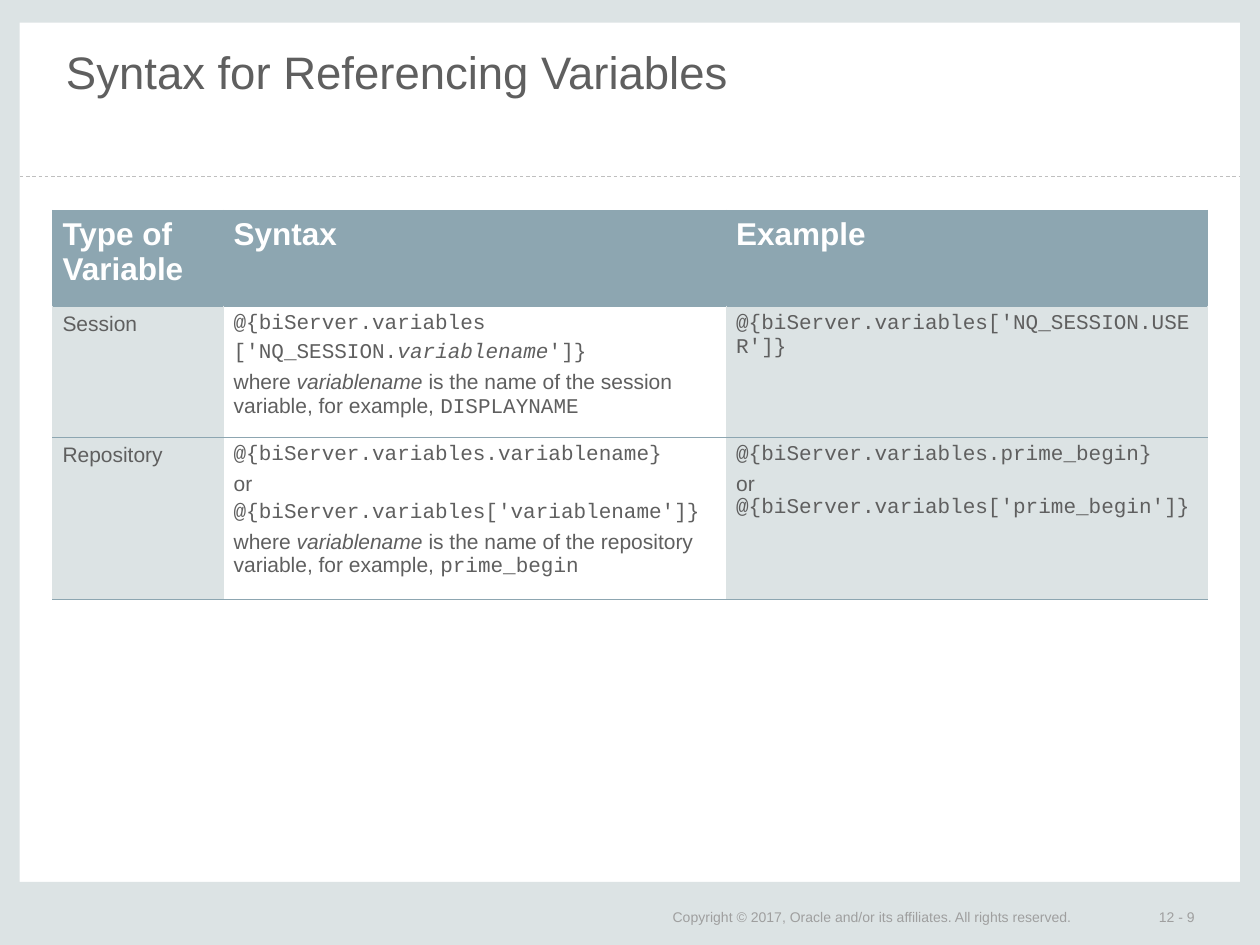
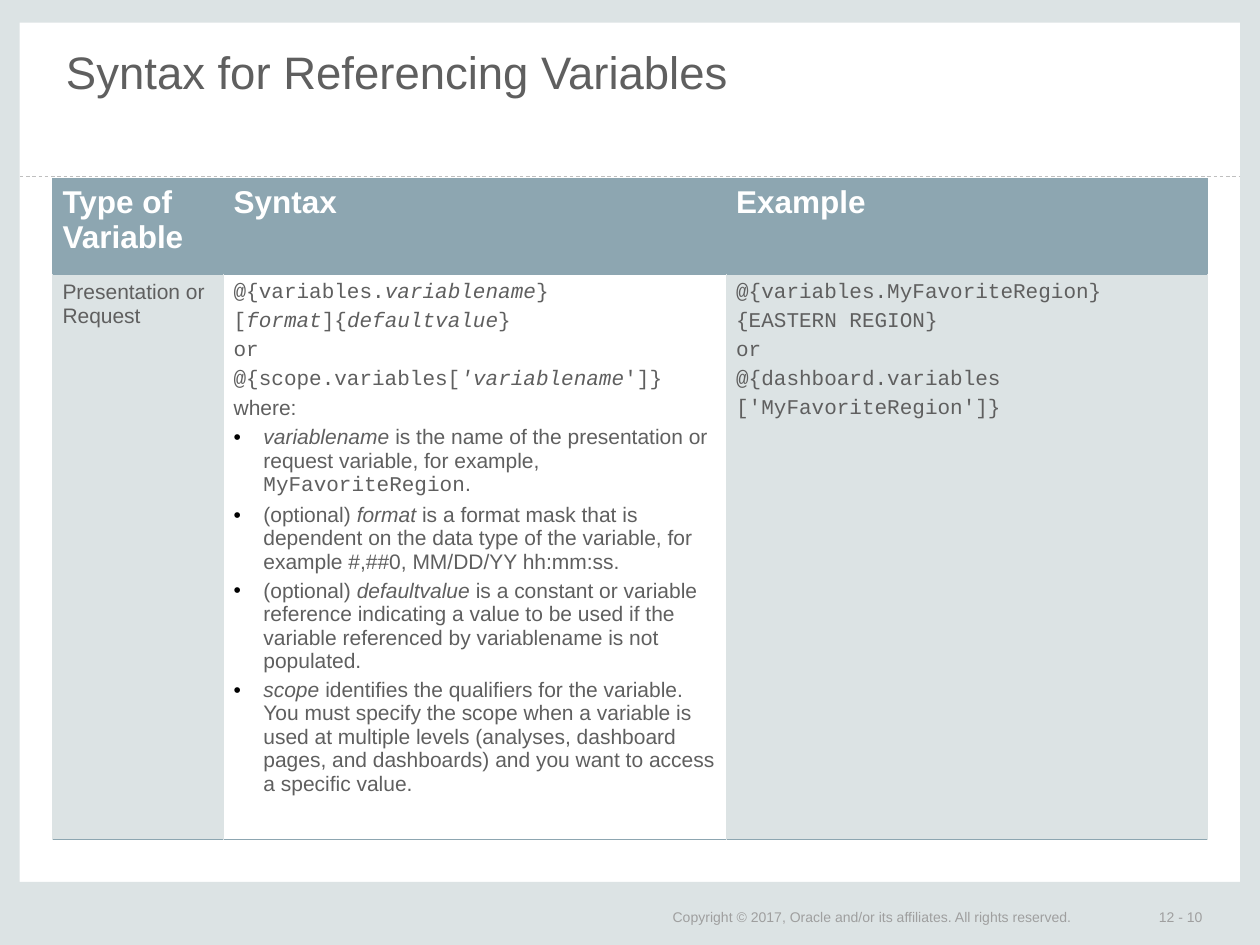
import lxml.etree
import pptx
import pptx.dml.color
import pptx.enum.dml
import pptx.enum.shapes
import pptx.enum.text
import pptx.oxml.ns
import pptx.util

Cm, Pt = pptx.util.Cm, pptx.util.Pt
RGB = pptx.dml.color.RGBColor.from_string
qn = pptx.oxml.ns.qn
ANCHOR = pptx.enum.text.MSO_ANCHOR

COLORS = {
    "band": "DCE3E4",
    "header": "8DA6B1",
    "text": "5F5F5F",
    "footer": "9F9F9F",
    "rule": "BFBFBF",
    "white": "FFFFFF",
    "bullet": "000000",
}
BODY_FILLS = ["band", "white", "band"]
BANDS = [(0, 0, 0.4, 19.05), (25, 0, 0.4, 19.05), (0, 17.78, 25.4, 1.27), (0, 0, 25.4, 0.46)]
COPYRIGHT = "Copyright © 2017, Oracle and/or its affiliates. All rights reserved."
COLUMN_WIDTHS = [3.45, 10.13, 9.7]
HEADINGS = ["Type of Variable", "Syntax", "Example"]
HEADER_HEIGHT = 1.93

# In cell text, `...` is code, *...* is italic and a leading • makes a bullet.
SLIDES = [
    {
        "page": "12 - 9",
        "table_top": 4.24,
        "rows": [
            (2.64, [
                ["Session"],
                ["`@{biServer.variables`",
                 "`['NQ_SESSION.*variablename*']}`",
                 "where *variablename* is the name of the session variable, "
                 "for example, `DISPLAYNAME`"],
                ["`@{biServer.variables['NQ_SESSION.USER']}`"],
            ]),
            (3.27, [
                ["Repository"],
                ["`@{biServer.variables.variablename}`",
                 "or",
                 "`@{biServer.variables['variablename']}`",
                 "where *variablename* is the name of the repository variable, "
                 "for example, `prime_begin`"],
                ["`@{biServer.variables.prime_begin}`",
                 "or `@{biServer.variables['prime_begin']}`"],
            ]),
        ],
    },
    {
        "page": "12 - 10",
        "table_top": 3.6,
        "rows": [
            (11.4, [
                ["Presentation or Request"],
                ["`@{variables.*variablename*}`",
                 "`[*format*]{*defaultvalue*}`",
                 "`or`",
                 "`@{scope.variables[*'variablename*']}`",
                 "where:",
                 "•*variablename* is the name of the presentation or request variable, "
                 "for example, `MyFavoriteRegion`.",
                 "•(optional) *format* is a format mask that is dependent on the data type "
                 "of the variable, for example #,##0, MM/DD/YY hh:mm:ss.",
                 "•(optional) *defaultvalue* is a constant or variable reference indicating "
                 "a value to be used if the variable referenced by variablename is not populated.",
                 "•*scope* identifies the qualifiers for the variable. You must specify the "
                 "scope when a variable is used at multiple levels (analyses, dashboard pages, "
                 "and dashboards) and you want to access a specific value."],
                ["`@{variables.MyFavoriteRegion}`",
                 "`{EASTERN REGION}`",
                 "`or`",
                 "`@{dashboard.variables`",
                 "`['MyFavoriteRegion']}`"],
            ]),
        ],
    },
]


def add_runs(p, text, size, color, bold=False):
    """Add marked-up text to a paragraph, with bullet, code and italic styling."""
    if text.startswith("•"):
        text = text[1:]
        pPr = p._p.get_or_add_pPr()
        pPr.set("marL", str(Cm(0.6)))
        pPr.set("indent", str(-Cm(0.6)))
        clr = lxml.etree.SubElement(pPr, qn("a:buClr"))
        lxml.etree.SubElement(clr, qn("a:srgbClr"), val=COLORS["bullet"])
        lxml.etree.SubElement(pPr, qn("a:buFont"), typeface="Arial")
        lxml.etree.SubElement(pPr, qn("a:buChar"), char="•")
    for i, part in enumerate(text.split("`")):
        for j, piece in enumerate(part.split("*")):
            if piece:
                r = p.add_run()
                r.text = piece
                r.font.name = "Courier New" if i % 2 else "Arial"
                r.font.size = Pt(size)
                r.font.bold = bold
                r.font.italic = j % 2 == 1
                r.font.color.rgb = RGB(COLORS[color])


def style_cell(cell, fill, side):
    """Set margins, fill and borders; side colours the left and right borders."""
    cell.margin_left = cell.margin_right = Cm(0.2)
    cell.margin_top = cell.margin_bottom = Cm(0.13)
    cell.vertical_anchor = ANCHOR.TOP
    tcPr = cell._tc.get_or_add_tcPr()
    for tag, color in zip("LRTB", [side, side, "header", "header"]):
        ln = lxml.etree.SubElement(tcPr, qn(f"a:ln{tag}"), w=str(Pt(0.45)))
        solid = lxml.etree.SubElement(ln, qn("a:solidFill"))
        lxml.etree.SubElement(solid, qn("a:srgbClr"), val=COLORS[color])
    cell.fill.solid()
    cell.fill.fore_color.rgb = RGB(COLORS[fill])


prs = pptx.Presentation()
prs.slide_width, prs.slide_height = Cm(25.4), Cm(19.05)

for content in SLIDES:
    s = prs.slides.add_slide(prs.slide_layouts[5])

    # Frame and dashed rule
    for band in BANDS:
        sp = s.shapes.add_shape(pptx.enum.shapes.MSO_SHAPE.RECTANGLE, *map(Cm, band))
        sp.shadow.inherit = False
        sp.fill.solid()
        sp.fill.fore_color.rgb = RGB(COLORS["band"])
        sp.line.fill.background()
    rule = s.shapes.add_connector(pptx.enum.shapes.MSO_CONNECTOR.STRAIGHT,
                                  Cm(0.4), Cm(3.56), Cm(25), Cm(3.56))
    rule.line.color.rgb = RGB(COLORS["rule"])
    rule.line.width = Pt(0.5)
    rule.line.dash_style = pptx.enum.dml.MSO_LINE.DASH
    lxml.etree.SubElement(rule._element.spPr, qn("a:effectLst"))

    # Footer
    for text, left, width in [(content["page"], 23.11, 2.26), (COPYRIGHT, 13.31, 10.19)]:
        tf = s.shapes.add_textbox(Cm(left), Cm(18.21), Cm(width), Cm(0.54)).text_frame
        tf.word_wrap = True
        tf.vertical_anchor = ANCHOR.MIDDLE
        add_runs(tf.paragraphs[0], text, 8, "footer")

    # Title
    title = s.shapes.title
    title.left, title.top, title.width, title.height = map(Cm, (1.3, 0.74, 22.81, 2.44))
    tf = title.text_frame
    tf.auto_size = pptx.enum.text.MSO_AUTO_SIZE.NONE
    tf.vertical_anchor = ANCHOR.TOP
    tf.margin_left = tf.margin_right = tf.margin_bottom = Cm(0.03)
    tf.margin_top = Cm(0.14)
    tf.paragraphs[0].alignment = pptx.enum.text.PP_ALIGN.LEFT
    add_runs(tf.paragraphs[0], "Syntax for Referencing Variables", 26, "text")

    # Table of variable types
    rows = content["rows"]
    heights = [HEADER_HEIGHT] + [height for height, cells in rows]
    table = s.shapes.add_table(len(heights), len(HEADINGS), Cm(1.06), Cm(content["table_top"]),
                               Cm(sum(COLUMN_WIDTHS)), Cm(sum(heights))).table
    table.horz_banding = False
    for column, width in zip(table.columns, COLUMN_WIDTHS):
        column.width = Cm(width)
    for row, height in zip(table.rows, heights):
        row.height = Cm(height)
    for col, heading in enumerate(HEADINGS):
        cell = table.cell(0, col)
        style_cell(cell, "header", "header")
        add_runs(cell.text_frame.paragraphs[0], heading, 18, "white", bold=True)
    for row, (height, cells) in enumerate(rows, start=1):
        for col, lines in enumerate(cells):
            cell = table.cell(row, col)
            style_cell(cell, BODY_FILLS[col], "band")
            tf = cell.text_frame
            for i, line in enumerate(lines):
                p = tf.add_paragraph() if i else tf.paragraphs[0]
                add_runs(p, line, 12, "text")
                if i:
                    p.space_before = Pt(3)

prs.save("out.pptx")
